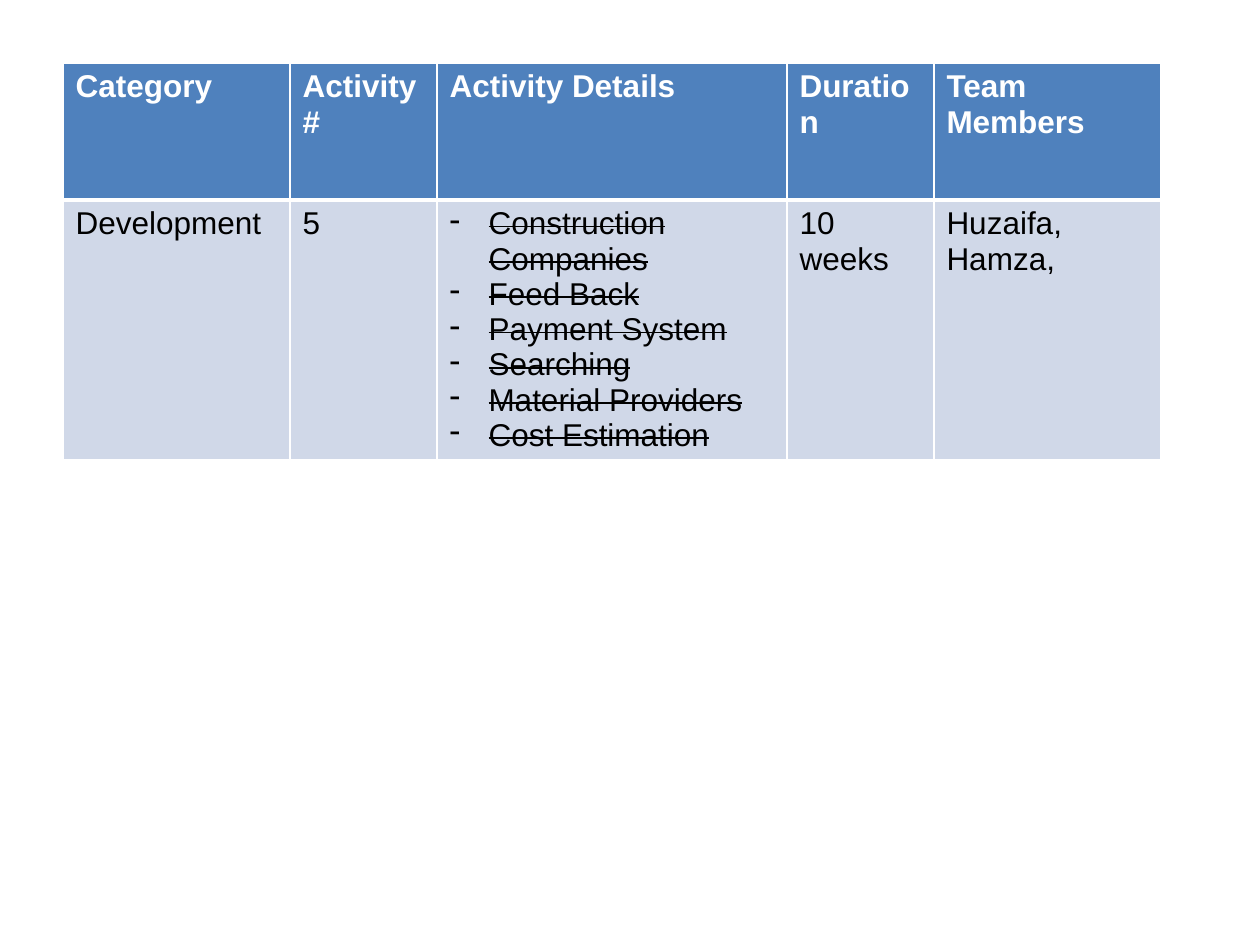
import pptx
import pptx.dml.color
import pptx.oxml
import pptx.oxml.ns
import pptx.util

SCALE = 914400 / 126
FONT = "Arial"
WHITE, BLACK, HEADER_BLUE, ROW_BLUE = "FFFFFF", "000000", "4F81BD", "D0D8E8"
COLUMN_WIDTHS = [227, 147, 350, 147, 227]
ROW_HEIGHT = 137
HEADINGS = ["Category", "Activity#", "Activity Details", "Duration", "Team Members"]
DETAILS = [
    "Construction Companies",
    "Feed Back",
    "Payment System",
    "Searching",
    "Material Providers",
    "Cost Estimation",
]
ACTIVITY = ["Development", "5", DETAILS, "10 weeks", "Huzaifa, Hamza,"]


def px(length):
    """Turn whole pixels into EMU."""
    return pptx.util.Emu(round(length * SCALE))


def color(value):
    """Turn a hex string into a colour."""
    return pptx.dml.color.RGBColor.from_string(value)


def add_text(para, text, size=18, fill=BLACK, bold=False, strike=False):
    """Add a formatted span of text to a paragraph."""
    span = para.add_run()
    span.text = text
    span.font.name = FONT
    span.font.size = pptx.util.Pt(size)
    span.font.bold = bold
    span.font.color.rgb = color(fill)
    if strike:
        span.font._element.set("strike", "sngStrike")


def set_dash(para, indent):
    """Give a paragraph a hanging dash bullet."""
    properties = para._p.get_or_add_pPr()
    properties.set("marL", str(px(indent)))
    properties.set("indent", str(-px(indent)))
    bullet = pptx.oxml.parse_xml(f'<a:buChar {pptx.oxml.ns.nsdecls("a")} char="-"/>')
    properties.append(bullet)


def set_borders(cell, **widths):
    """Draw white cell borders with the given widths in points."""
    properties = cell._tc.get_or_add_tcPr()
    for position, (side, width) in enumerate(widths.items()):
        line = pptx.oxml.parse_xml(
            f'<a:ln{side} {pptx.oxml.ns.nsdecls("a")} w="{pptx.util.Pt(width)}">'
            f'<a:solidFill><a:srgbClr val="{WHITE}"/></a:solidFill></a:ln{side}>'
        )
        properties.insert(position, line)


def fill_cell(cell, content, is_header):
    """Write one cell, with a list as struck-out dash items."""
    cell.fill.solid()
    cell.fill.fore_color.rgb = color(HEADER_BLUE if is_header else ROW_BLUE)
    set_borders(cell, L=1, R=1, T=1 if is_header else 3, B=3 if is_header else 1)
    is_list = isinstance(content, list)
    frame = cell.text_frame
    for index, text in enumerate(content if is_list else [content]):
        para = frame.add_paragraph() if index else frame.paragraphs[0]
        if is_list:
            set_dash(para, 39)
        add_text(para, text, fill=WHITE if is_header else BLACK,
                 bold=is_header, strike=is_list)


def add_activity_table(page, left, top):
    """Place the activity table with its top left corner at the given point."""
    rows = [HEADINGS, ACTIVITY]
    table = page.shapes.add_table(
        len(rows), len(HEADINGS), px(left), px(top),
        px(sum(COLUMN_WIDTHS)), px(ROW_HEIGHT * len(rows)),
    ).table
    for column, width in zip(table.columns, COLUMN_WIDTHS):
        column.width = px(width)
    for row_index, contents in enumerate(rows):
        table.rows[row_index].height = px(ROW_HEIGHT)
        for column_index, content in enumerate(contents):
            fill_cell(table.cell(row_index, column_index), content, row_index == 0)


def main():
    """Build the deck and save it."""
    deck = pptx.Presentation()
    deck.slide_width, deck.slide_height = px(1260), px(945)
    page = deck.slides.add_slide(deck.slide_layouts[6])
    add_activity_table(page, 63, 63)
    deck.save("out.pptx")


if __name__ == "__main__":
    main()
